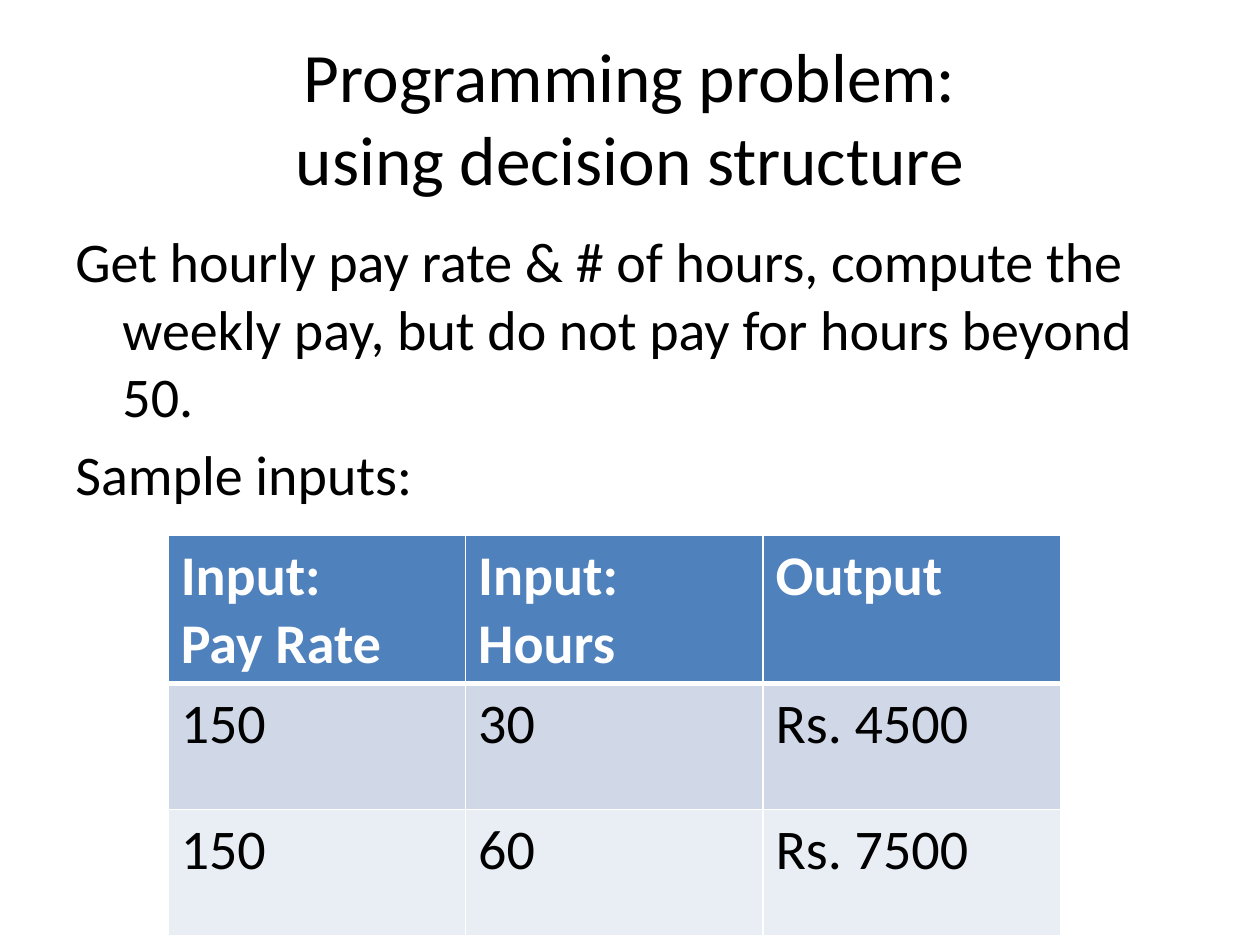
from lxml import etree
from pptx import Presentation
from pptx import util as u
from pptx.dml.color import RGBColor
from pptx.enum import text
from pptx.oxml import ns

BLACK = RGBColor(0x00, 0x00, 0x00)
WHITE = RGBColor(0xFF, 0xFF, 0xFF)
HEADER_BLUE = RGBColor(0x4F, 0x81, 0xBD)
BAND_COLOURS = [RGBColor(0xD0, 0xD8, 0xE8), RGBColor(0xE9, 0xED, 0xF4)]

BODY_FONT = {"name": "Calibri", "size": u.Pt(32), "bold": False}
TITLE_FONT = {**BODY_FONT, "size": u.Pt(39.6)}
HEADER_FONT = {**BODY_FONT, "bold": True}

TITLE = "Programming problem:\vusing decision structure"
BODY = [
    "Get hourly pay rate & # of hours, compute the weekly pay, "
    "but do not pay for hours beyond 50.",
    "Sample inputs:",
]
SAMPLES = [
    ["Input:\vPay Rate", "Input:\vHours", "Output"],
    ["150", "30", "Rs. 4500"],
    ["150", "60", "Rs. 7500"],
]


def write(para, words, font, colour):
    """Put words in a paragraph and format each of its runs."""
    para.text = words
    for span in para.runs:
        for key, value in font.items():
            setattr(span.font, key, value)
        span.font.color.rgb = colour


def add_text_frame(page, box, anchor):
    """Add a wrapping text box and return its text frame."""
    frame = page.shapes.add_textbox(*box).text_frame
    frame.word_wrap = True
    frame.vertical_anchor = anchor
    return frame


def add_title(page, box):
    """Place the centred two-line title."""
    para = add_text_frame(page, box, text.MSO_ANCHOR.MIDDLE).paragraphs[0]
    para.alignment = text.PP_ALIGN.CENTER
    write(para, TITLE, TITLE_FONT, BLACK)


def add_body(page, box):
    """Place the task paragraphs with a hanging indent."""
    frame = add_text_frame(page, box, text.MSO_ANCHOR.TOP)
    for index, words in enumerate(BODY):
        para = frame.add_paragraph() if index else frame.paragraphs[0]
        write(para, words, BODY_FONT, BLACK)
        para.space_before = u.Pt(6.4)
        indent = u.Cm(0.95)
        properties = para._p.get_or_add_pPr()
        properties.set("marL", str(indent))
        properties.set("indent", str(-indent))


def set_borders(cell, widths):
    """Draw white cell borders, with widths in points by side."""
    properties = cell._tc.get_or_add_tcPr()
    for side, width in widths.items():
        line = etree.SubElement(properties, ns.qn(f"a:ln{side}"), w=str(u.Pt(width)))
        fill = etree.SubElement(line, ns.qn("a:solidFill"))
        etree.SubElement(fill, ns.qn("a:srgbClr"), val=str(WHITE))


def add_samples(page, box):
    """Place the table of sample inputs and outputs."""
    left, top, width, height = box
    table = page.shapes.add_table(len(SAMPLES), len(SAMPLES[0]), *box).table
    table.horz_banding = False
    body_height = u.Cm(2.54)
    for index, row in enumerate(table.rows):
        row.height = body_height if index else height - 2 * body_height
    for row, values in enumerate(SAMPLES):
        header = row == 0
        for column, words in enumerate(values):
            cell = table.cell(row, column)
            set_borders(cell, {"L": 1, "R": 1, "T": 3 if row == 1 else 1,
                               "B": 3 if header else 1})
            cell.fill.solid()
            cell.fill.fore_color.rgb = HEADER_BLUE if header else BAND_COLOURS[row - 1]
            write(cell.text_frame.paragraphs[0], words,
                  HEADER_FONT if header else BODY_FONT, WHITE if header else BLACK)


def main():
    """Build the deck and save it."""
    deck = Presentation()
    deck.slide_width, deck.slide_height = u.Cm(25.4), u.Cm(19.05)
    page = deck.slides.add_slide(deck.slide_layouts[6])
    add_title(page, (u.Cm(1.27), u.Cm(0.76), u.Cm(22.86), u.Cm(3.18)))
    add_body(page, (u.Cm(1.27), u.Cm(4.45), u.Cm(22.86), u.Cm(12.57)))
    add_samples(page, (u.Cm(3.39), u.Cm(10.8), u.Cm(17.99), u.Cm(8.06)))
    deck.save("out.pptx")


main()
